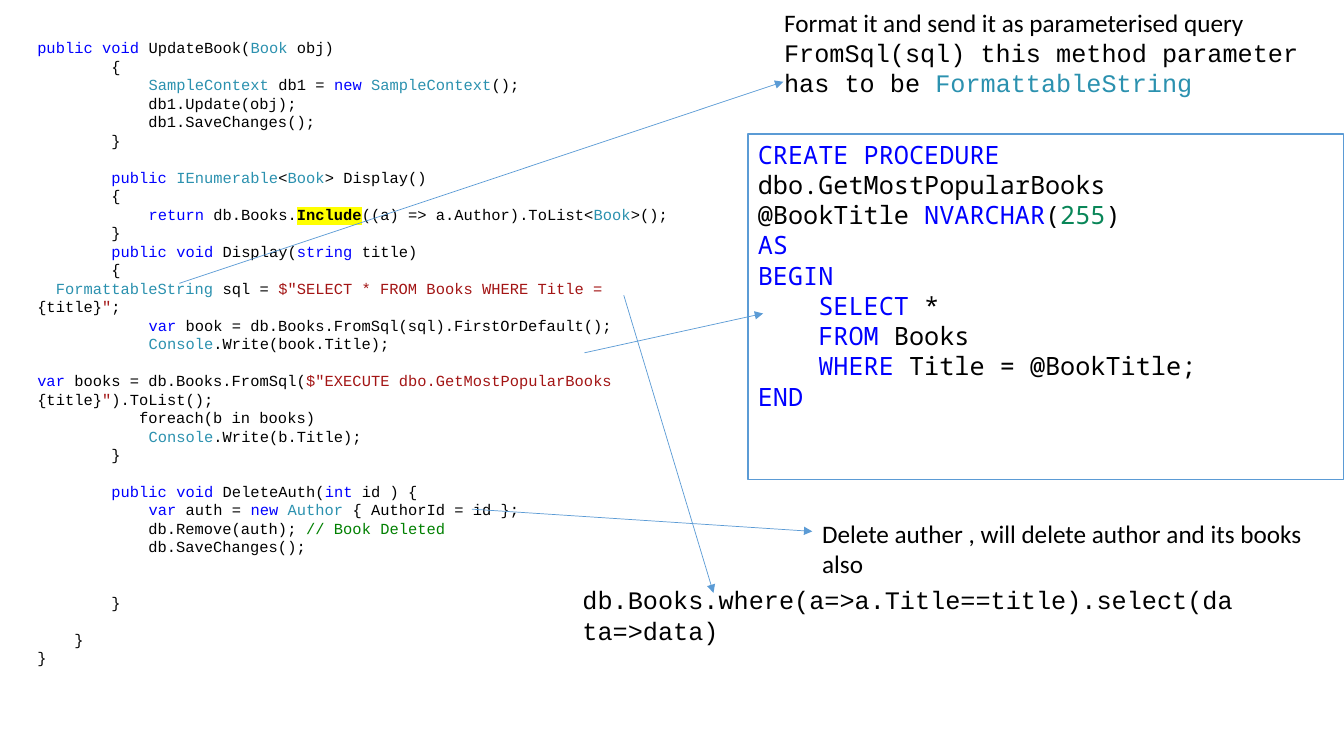
"""Build a slide of annotated data access code with a stored procedure."""
from lxml import etree
from pptx import Presentation
from pptx.dml.color import RGBColor
from pptx.enum.dml import MSO_LINE
from pptx.enum.shapes import MSO_CONNECTOR, MSO_SHAPE
from pptx.enum.text import MSO_ANCHOR, PP_ALIGN
from pptx.oxml.ns import qn
from pptx.util import Cm, Pt

RECTANGLE = MSO_SHAPE.RECTANGLE
STRAIGHT = MSO_CONNECTOR.STRAIGHT
SOLID = MSO_LINE.SOLID
TOP = MSO_ANCHOR.TOP
LEFT = PP_ALIGN.LEFT

BLACK = "000000"
KEYWORD = "0000FF"
TYPE = "2B91AF"
STRING = "A31515"
NUMBER = "098658"
COMMENT = "008000"
ACCENT = "5B9BD5"
MARKER = "FFFF00"
CODE_FONT = "Courier New"
CODE_LINE = 13.2


def color(value):
    return RGBColor.from_string(value)


def write(box, lines, font, size):
    frame = box.text_frame
    frame.word_wrap = True
    frame.vertical_anchor = TOP
    blanks = 0
    first = True
    for line in lines:
        if not line:
            blanks += 1
            continue
        para = frame.paragraphs[0] if first else frame.add_paragraph()
        first = False
        para.alignment = LEFT
        if blanks:
            para.space_before = Pt(blanks * CODE_LINE)
            blanks = 0
        for part in [line] if isinstance(line, str) else line:
            text, ink = (part, BLACK) if isinstance(part, str) else part
            span = para.add_run()
            span.text = text
            span.font.size = Pt(size)
            span.font.name = font
            span.font.color.rgb = color(ink)


deck = Presentation()
deck.slide_width = Cm(33.87)
deck.slide_height = Cm(19.05)
page = deck.slides.add_slide(deck.slide_layouts[6])

procedure_lines = [
    [("CREATE PROCEDURE ", KEYWORD), "dbo.GetMostPopularBooks"],
    ["@BookTitle ", ("NVARCHAR", KEYWORD), "(", ("255", NUMBER), ")"],
    [("AS", KEYWORD)],
    [("BEGIN", KEYWORD)],
    ["    ", ("SELECT", KEYWORD), " *"],
    ["    ", ("FROM", KEYWORD), " Books"],
    ["    ", ("WHERE", KEYWORD), " Title = @BookTitle;"],
    [("END", KEYWORD)],
]
procedure = page.shapes.add_shape(RECTANGLE, Cm(18.85), Cm(3.38), Cm(15.01), Cm(8.71))
procedure.shadow.inherit = False
procedure.fill.solid()
procedure.fill.fore_color.rgb = color("FFFFFF")
procedure.line.color.rgb = color(ACCENT)
procedure.line.width = Pt(1)
write(procedure, procedure_lines, "Noto Sans Mono", 18)

code_lines = [
    [("public void", KEYWORD), " UpdateBook(", ("Book", TYPE), " obj)"],
    "        {",
    ["            ", ("SampleContext", TYPE), " db1 = ", ("new ", KEYWORD),
     ("SampleContext", TYPE), "();"],
    "            db1.Update(obj);",
    "            db1.SaveChanges();",
    "        }",
    "",
    ["        ", ("public ", KEYWORD), ("IEnumerable", TYPE), "<", ("Book", TYPE), "> Display()"],
    "        {",
    ["            ", ("return", KEYWORD), " db.Books.", "Include",
     "((a) => a.Author).ToList<", ("Book", TYPE), ">();"],
    "        }",
    ["        ", ("public void", KEYWORD), " Display(", ("string", KEYWORD), " title)"],
    "        {",
    ["  ", ("FormattableString", TYPE), " sql = ",
     ('$"SELECT * FROM Books WHERE Title = ', STRING), "{title}", ('"', STRING), ";"],
    ["            ", ("var", KEYWORD), " book = db.Books.FromSql(sql).FirstOrDefault();"],
    ["            ", ("Console", TYPE), ".Write(book.Title);"],
    "",
    [("var", KEYWORD), " books = db.Books.FromSql(",
     ('$"EXECUTE dbo.GetMostPopularBooks ', STRING), "{title}", ('"', STRING), ").ToList();"],
    "           foreach(b in books)",
    ["            ", ("Console", TYPE), ".Write(b.Title);"],
    "        }",
    "",
    ["        ", ("public void", KEYWORD), " DeleteAuth(", ("int", KEYWORD), " id ) {"],
    ["            ", ("var", KEYWORD), " auth = ", ("new ", KEYWORD), ("Author", TYPE),
     " { AuthorId = id };"],
    ["            db.Remove(auth); ", ("// Book Deleted", COMMENT)],
    "            db.SaveChanges();",
    "",
    "",
    "        }",
    "",
    "    }",
    "}",
]
query_note = [
    "Format it and send it as parameterised query",
    ["FromSql(sql) this method parameter has to be ", ("FormattableString", TYPE)],
]
delete_note = ["Delete auther , will delete author and its books also"]
where_note = ["db.Books.where(a=>a.Title==title).select(data=>data)"]

texts = [
    (0.69, 0.84, 16.94, 15.77, code_lines, CODE_FONT, 11),
    (19.51, 0.05, 14.38, 2.57, query_note, CODE_FONT, 18),
    (20.47, 12.93, 13.08, 1.8, delete_note, "Calibri", 18),
    (14.43, 14.61, 17.15, 1.8, where_note, CODE_FONT, 18),
]
boxes = []
for left, top, width, height, lines, font, size in texts:
    box = page.shapes.add_textbox(Cm(left), Cm(top), Cm(width), Cm(height))
    write(box, lines, font, size)
    boxes.append(box)

code_box, query_box = boxes[:2]
query_box.text_frame.paragraphs[0].runs[0].font.name = "Calibri"
for para in code_box.text_frame.paragraphs:
    for span in para.runs:
        if span.text == "Include":
            span.font.bold = True
            highlight = etree.Element(qn("a:highlight"))
            etree.SubElement(highlight, qn("a:srgbClr"), val=MARKER)
            span.font.fill._xPr.find(qn("a:solidFill")).addnext(highlight)

arrows = [
    (4.52, 7.14, 19.74, 2.06),
    (14.73, 8.89, 19.23, 7.9),
    (11.89, 12.83, 20.47, 13.39),
    (15.72, 7.44, 17.98, 14.94),
]
for ends in arrows:
    arrow = page.shapes.add_connector(STRAIGHT, *[Cm(value) for value in ends])
    arrow.line.color.rgb = color(ACCENT)
    arrow.line.width = Pt(0.5)
    arrow.line.dash_style = SOLID
    outline = arrow.line._get_or_add_ln()
    etree.SubElement(outline, qn("a:tailEnd"), type="triangle")
    etree.SubElement(outline.getparent(), qn("a:effectLst"))

deck.save("out.pptx")
